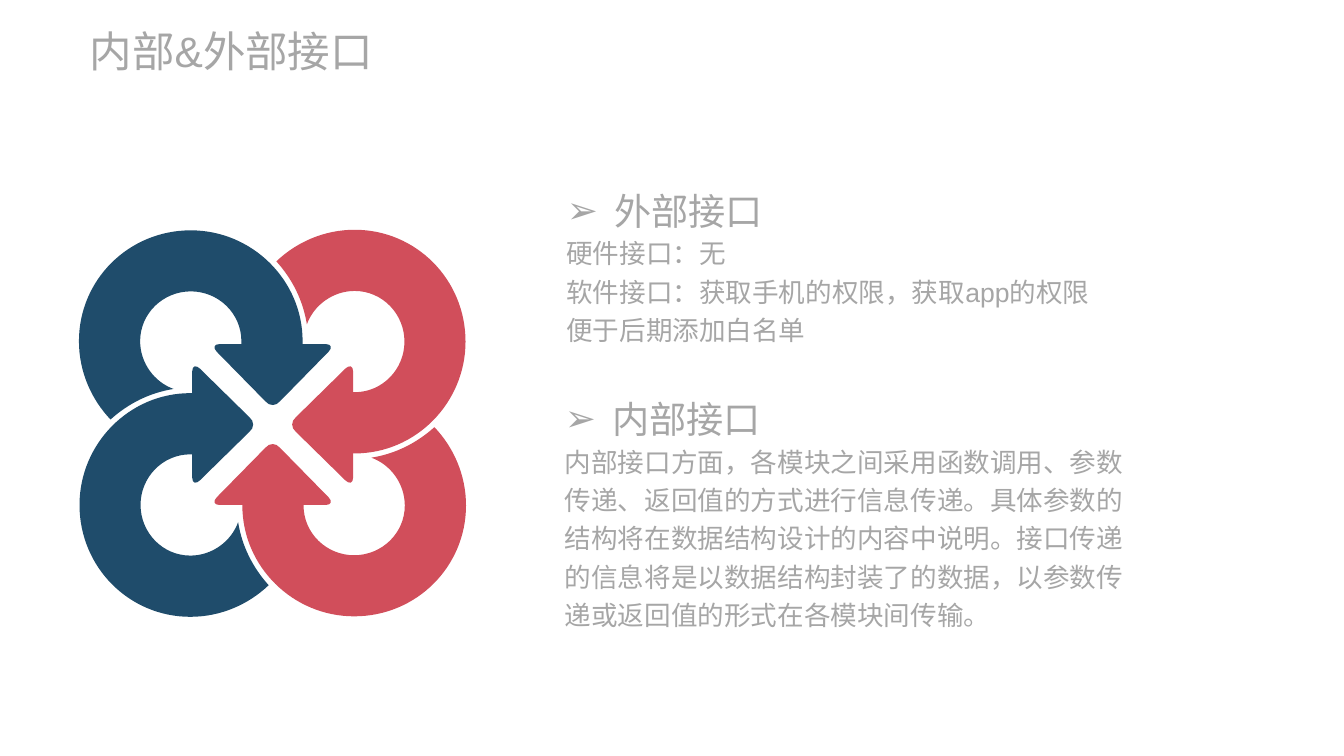
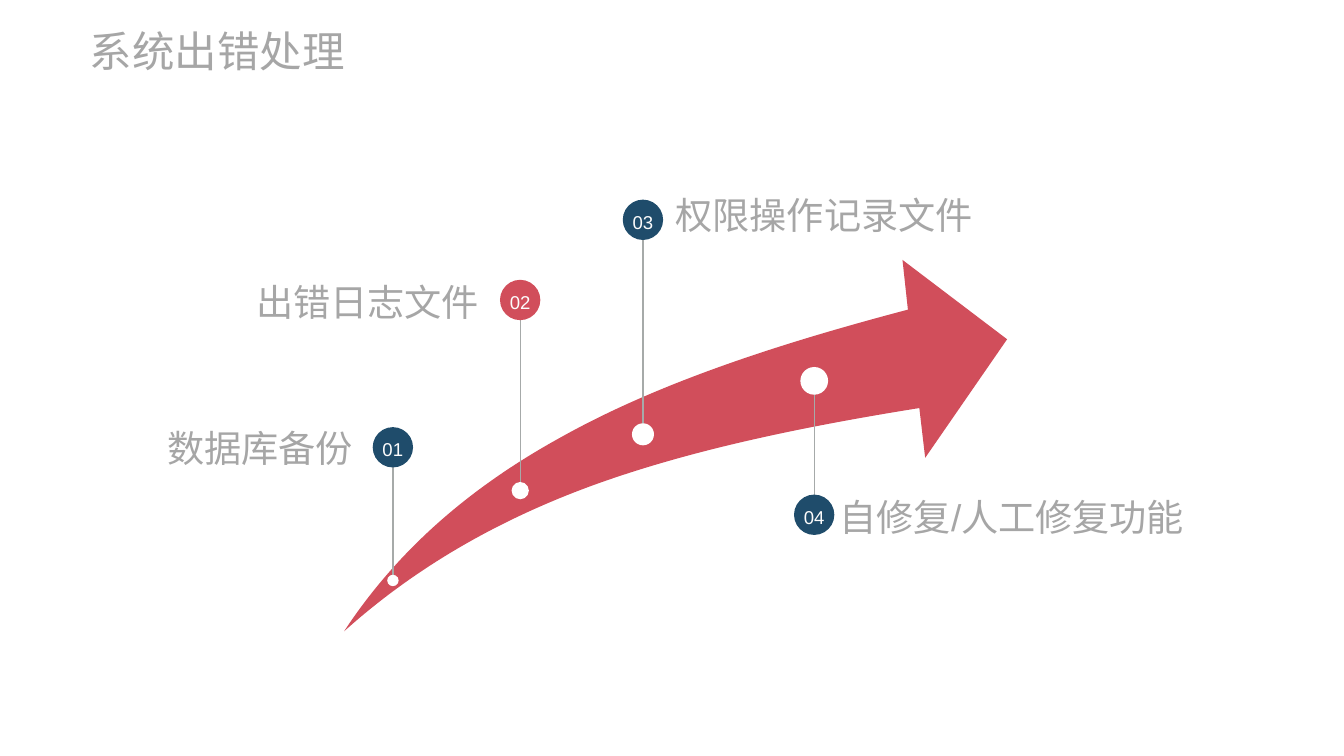
from lxml import etree
from pptx import Presentation
from pptx.dml.color import RGBColor
from pptx.enum.shapes import MSO_CONNECTOR, MSO_SHAPE
from pptx.enum.text import MSO_ANCHOR as Anchor, MSO_AUTO_SIZE as AutoSize, PP_ALIGN as Align
from pptx.oxml.ns import qn
from pptx.util import Pt

COLORS = {"blue": "1F4C6B", "red": "D14E5B", "text": "A6A6A6", "line": "A6AAA9",
          "white": "FFFFFF", "number": "FCFCFC"}
FONT = "Arial"
TITLE_BOX = (67.5, 18.5, 311, 39)

# Slide 1: heading, heading box, body paragraphs, body box
INTERFACES = [
    ("外部接口", (427, 135, 172, 40),
     ["硬件接口：无", "软件接口：获取手机的权限，获取app的权限便于后期添加白名单"],
     (426.6, 174, 414, 87)),
    ("内部接口", (425.5, 291.6, 178, 40),
     ["内部接口方面，各模块之间采用函数调用、参数传递、返回值的方式进行信息传递。"
      "具体参数的结构将在数据结构设计的内容中说明。接口传递的信息将是以数据结构封装了的数据，"
      "以参数传递或返回值的形式在各模块间传输。"],
     (425.5, 331, 427.7, 145.5)),
]

# Outlines: pairs are line ends, sixes are Bézier curves.
# The loop arrow is given around the centre of the knot and turned by quarters.
HEAD_CENTER = (205.4, 319.8)
RING_CENTER = (205.3, 318.9)
QUARTER_COLORS = ["blue", "blue", "red", "red"]  # counter-clockwise from top left
ARROW_HEAD = [
    (40, -60.6), (44.3, -60.6, 45, -57.7, 42.1, -54.8), (5.4, -17.4),
    (2.5, -13.8, -2.5, -13.8, -5.4, -17.4), (-42.1, -54.8),
    (-45, -57.7, -44.3, -60.6, -40, -60.6),
]
ARROW_RING = [
    (-61.5, -145.4),
    (-108.4, -145.4, -145.8, -108, -145.8, -61.9),
    (-145.8, -38.9, -136.4, -18, -122, -2.9),
    (-108.4, -15.1, -92.5, -23, -74.5, -25.9),
    (-88.9, -31, -99.7, -45.4, -99.7, -61.9),
    (-99.7, -82.8, -82.4, -99.4, -61.5, -99.4),
    (-40.7, -99.4, -23.4, -82.8, -23.4, -61.9),
    (-23.4, -57.6, -24.1, -53.5, -25.6, -49.7),
    (-17.6, -49.7), (-17.6, -40.3), (19.8, -40.3),
    (21.2, -46.8, 22.7, -54, 22.7, -61.9),
    (22.7, -108, -15.5, -145.4, -61.5, -145.4),
]

# Slide 2
RISING_ARROW = [
    (259.2, 475.6),
    (298.8, 415.4, 352.8, 367.9, 421.9, 329.8),
    (492.5, 290.2, 580.3, 260.6, 684, 233.3),
    (679.9, 195.8), (758.7, 255.6), (697, 344.9), (692.6, 307.4),
    (597.6, 322.6, 514.8, 340.6, 444.2, 366.5),
    (372.2, 393.1, 311, 429.1, 259.2, 475.6),
]
BADGE_SIZE = 30.4
# number, colour, label, label box, label alignment, centre x, badge y, dot y, dot size
MEASURES = [
    ("01", "blue", "数据库备份", (123, 313.6, 142.6, 40.3), Align.RIGHT, 296, 337, 437.3, 8.6),
    ("02", "red", "出错日志文件", (165, 203.8, 195.8, 40.3), Align.RIGHT, 391.9, 226, 369.6, 13),
    ("03", "blue", "权限操作记录文件", (509, 138.2, 244, 40.3), Align.LEFT, 484.4, 165.6, 327.2, 16.6),
    ("04", "blue", "自修复/人工修复功能", (632.6, 365.8, 284.4, 40.3), Align.LEFT, 613.4, 387.8, 286.9, 20.9),
]


def rgb(name):
    return RGBColor.from_string(COLORS[name])


def paint(shape, color):
    shape.shadow.inherit = False
    shape.fill.solid()
    shape.fill.fore_color.rgb = rgb(color)
    shape.line.fill.background()


def write(shape, paragraphs, size, color="text", align=Align.LEFT, anchor=Anchor.TOP,
          spacing=1.2, before=0):
    frame = shape.text_frame
    frame.word_wrap = True
    frame.vertical_anchor = anchor
    frame.margin_left = frame.margin_top = frame.margin_right = frame.margin_bottom = 0
    frame.text = "\n".join(paragraphs)
    for paragraph in frame.paragraphs:
        paragraph.alignment = align
        paragraph.line_spacing = spacing
        paragraph.space_before = Pt(before)
        paragraph.font.name = FONT
        paragraph.font.size = Pt(size)
        paragraph.font.color.rgb = rgb(color)
    return frame


def add_text(slide, box, paragraphs, size, **style):
    frame = write(slide.shapes.add_textbox(*map(Pt, box)), paragraphs, size, **style)
    frame.auto_size = AutoSize.SHAPE_TO_FIT_TEXT
    return frame


def add_bullet(paragraph):
    properties = paragraph._p.get_or_add_pPr()
    properties.set("marL", str(Pt(36)))
    properties.set("indent", str(Pt(-36)))
    etree.SubElement(properties, qn("a:buFont")).set("typeface", FONT)
    etree.SubElement(properties, qn("a:buChar")).set("char", "➢")
    # Bullets stand before the default run properties
    defaults = properties.find(qn("a:defRPr"))
    if defaults is not None:
        properties.append(defaults)


def pairs(segment):
    return list(zip(segment[::2], segment[1::2]))


def quarter_turn(outline):
    return [tuple(value for x, y in pairs(segment) for value in (y, -x)) for segment in outline]


def add_outline(shapes, outline, color, center=(0, 0)):
    points = [((center[0] + x) * 100, (center[1] + y) * 100)
              for segment in outline for x, y in pairs(segment)]
    builder = shapes.build_freeform(*points[0], scale=Pt(1) / 100)
    builder.add_line_segments(points[1:], close=True)
    shape = builder.convert_to_shape()
    # Join each three points of a curve into one Bézier segment
    lines = iter(list(shape._element.iter(qn("a:lnTo"))))
    for segment in outline[1:]:
        first = next(lines)
        if len(segment) == 6:
            first.tag = qn("a:cubicBezTo")
            for line in (next(lines), next(lines)):
                first.append(line[0])
                line.getparent().remove(line)
    paint(shape, color)


def add_circle(slide, x, y, size, color):
    circle = slide.shapes.add_shape(MSO_SHAPE.OVAL, Pt(x - size / 2), Pt(y - size / 2),
                                    Pt(size), Pt(size))
    paint(circle, color)
    return circle


def add_stem(slide, x, top, bottom):
    stem = slide.shapes.add_connector(MSO_CONNECTOR.STRAIGHT, Pt(x), Pt(top), Pt(x), Pt(bottom))
    stem.line.color.rgb = rgb("line")
    stem.line.width = Pt(1)
    etree.SubElement(stem._element.spPr, qn("a:effectLst"))


def add_slide(presentation, title):
    slide = presentation.slides.add_slide(presentation.slide_layouts[6])
    add_text(slide, TITLE_BOX, [title], 32, anchor=Anchor.MIDDLE, spacing=1.0)
    return slide


def build_interfaces(presentation):
    slide = add_slide(presentation, "内部&外部接口")
    # Knot of four loop arrows
    knot = slide.shapes.add_group_shape()
    head, ring = ARROW_HEAD, ARROW_RING
    for color in QUARTER_COLORS:
        add_outline(knot.shapes, head, color, HEAD_CENTER)
        add_outline(knot.shapes, ring, color, RING_CENTER)
        head, ring = quarter_turn(head), quarter_turn(ring)
    # Headings and descriptions
    for heading, heading_box, body, body_box in INTERFACES:
        frame = add_text(slide, heading_box, [heading], 28)
        add_bullet(frame.paragraphs[0])
        add_text(slide, body_box, body, 20)


def build_error_handling(presentation):
    slide = add_slide(presentation, "系统出错处理")
    add_outline(slide.shapes, RISING_ARROW, "red")
    # Stems, badges, dots and labels
    for number, color, label, box, align, x, badge_y, dot_y, dot_size in MEASURES:
        add_stem(slide, x, badge_y, dot_y)
        badge = add_circle(slide, x, badge_y, BADGE_SIZE, color)
        write(badge, [number], 14, "number", Align.CENTER, Anchor.MIDDLE, before=10)
        add_circle(slide, x, dot_y, dot_size, "white")
        add_text(slide, box, [label], 28, align=align, anchor=Anchor.MIDDLE, before=10)


def main():
    presentation = Presentation()
    presentation.slide_width = Pt(1012.5)
    presentation.slide_height = Pt(569.5)
    build_interfaces(presentation)
    build_error_handling(presentation)
    presentation.save("out.pptx")


if __name__ == "__main__":
    main()
